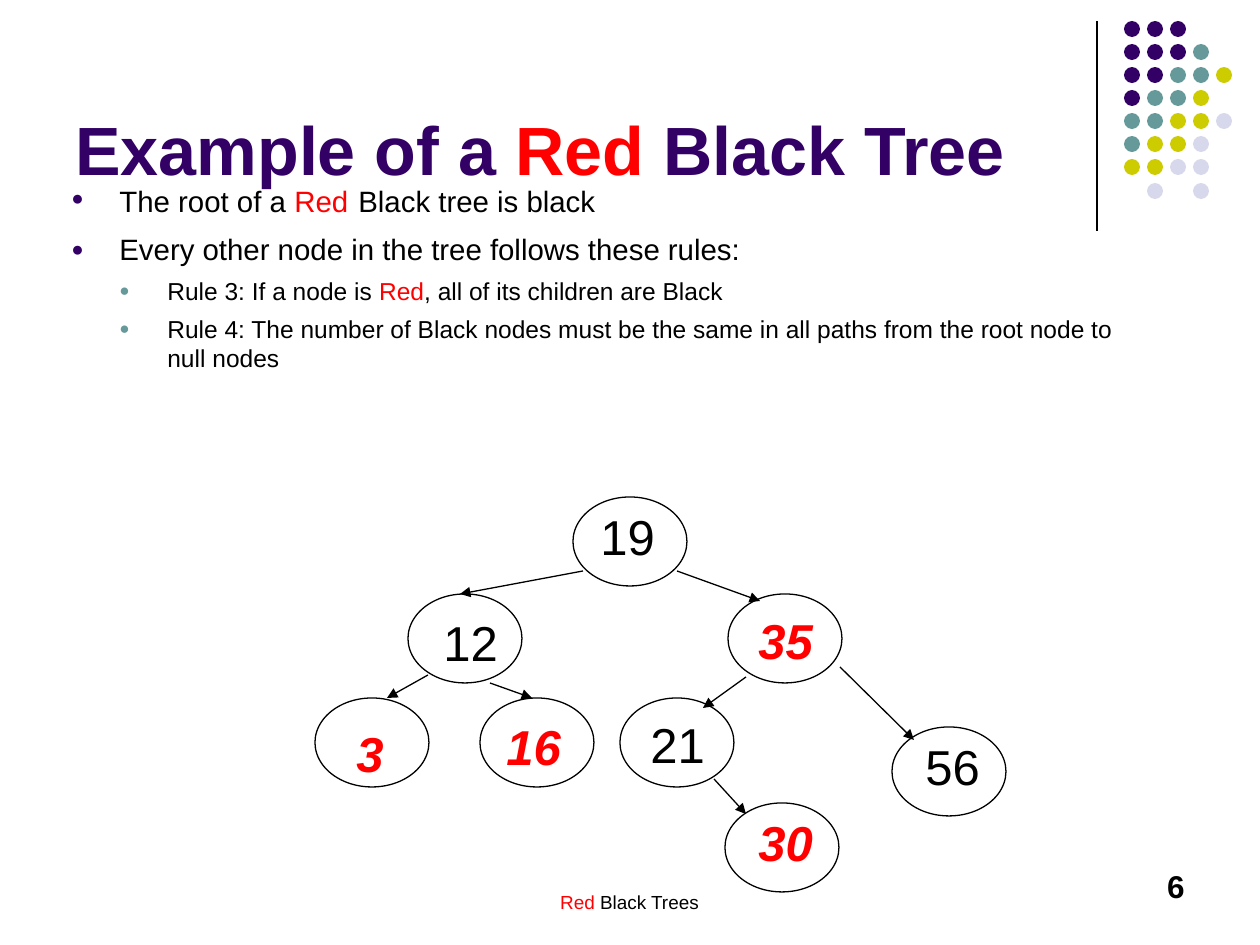
from dataclasses import dataclass
from typing import NamedTuple

from lxml.etree import SubElement
from pptx import Presentation
from pptx.dml.color import RGBColor as RGB
from pptx.enum.shapes import MSO_CONNECTOR as Link, MSO_SHAPE as Form
from pptx.enum.text import MSO_ANCHOR as Anchor, PP_ALIGN as Align
from pptx.oxml.ns import qn
from pptx.util import Pt

PX = 914400 / 126


@dataclass(frozen=True)
class Theme:
    font: str = "Arial"
    black: str = "000000"
    red: str = "FF0000"
    purple: str = "330066"
    teal: str = "669999"
    olive: str = "CCCC00"
    pale: str = "D8D8EC"
    title: float = 39
    point: float = 16.8
    gap: float = 21
    rule: float = 14
    key: float = 28
    foot: float = 10.8
    page: float = 18
    line: float = 0.75


T = Theme()


class Box(NamedTuple):
    x: int
    y: int
    w: int
    h: int


class Span(NamedTuple):
    text: str
    size: float
    color: str = T.black
    bold: bool = False
    italic: bool = False


class Node(NamedTuple):
    key: str
    x: int
    y: int
    dx: int  # label offset from the oval
    dy: int
    red: bool = False


class Edge(NamedTuple):
    x1: int
    y1: int
    x2: int
    y2: int


class Item(NamedTuple):
    level: int
    before: float
    spans: list[Span]


NODES = [
    Node("19", 573, 497, 15, 3),
    Node("12", 408, 594, 23, 12),
    Node("35", 728, 594, 18, 10, True),
    Node("3", 315, 698, 29, 19, True),
    Node("16", 480, 698, 14, 12, True),
    Node("56", 892, 727, 21, 3),
    Node("21", 620, 698, 18, 10),
    Node("30", 725, 803, 21, 3, True),
]
EDGES = [
    Edge(583, 571, 460, 594), Edge(677, 571, 760, 601),
    Edge(428, 675, 387, 698), Edge(490, 683, 532, 698),
    Edge(840, 667, 914, 740), Edge(746, 677, 703, 708),
    Edge(714, 779, 746, 814),
]
ITEMS = [
    Item(0, 0, [Span("The root of a ", T.point), Span("Red", T.point, T.red),
                Span(" ", T.gap), Span("Black tree is black", T.point)]),
    Item(0, 6.5, [Span("Every other node in the tree follows these rules:", T.point)]),
    Item(1, 5, [Span("Rule 3: If a node is ", T.rule), Span("Red", T.rule, T.red),
                Span(", all of its children are Black", T.rule)]),
    Item(1, 5, [Span("Rule 4: The number of Black nodes must be the same in all "
                     "paths from the root node to null nodes", T.rule)]),
]
DOTS = ["PPP", "PPPT", "PPTTO", "PTTO", "TTOOL", "TOOL", "OOLL", " L L"]
HUES = {"P": T.purple, "T": T.teal, "O": T.olive, "L": T.pale}


def emu(*px: int) -> list[int]:
    return [round(v * PX) for v in px]


def write(par, spans: list[Span]) -> None:
    for span in spans:
        run = par.add_run()
        run.text = span.text
        font = run.font
        font.name, font.size = T.font, Pt(span.size)
        font.bold, font.italic = span.bold, span.italic
        font.color.rgb = RGB.from_string(span.color)


def frame(slide, box: Box, anchor=Anchor.TOP):
    tf = slide.shapes.add_textbox(*emu(*box)).text_frame
    tf.word_wrap, tf.vertical_anchor = True, anchor
    return tf


def label(slide, box: Box, spans: list[Span], align=Align.LEFT,
          anchor=Anchor.TOP) -> None:
    par = frame(slide, box, anchor).paragraphs[0]
    par.alignment = align
    write(par, spans)


def bullet(par, level: int) -> None:
    """Hang the paragraph behind a coloured dot."""
    step = emu(48)[0]
    props = par._p.get_or_add_pPr()
    props.set("marL", str(step * (level + 1)))
    props.set("indent", str(-step))
    color = SubElement(props, qn("a:buClr"))
    SubElement(color, qn("a:srgbClr"), val=(T.purple, T.teal)[level])
    SubElement(props, qn("a:buSzPct"), val="70000")
    SubElement(props, qn("a:buFont"), typeface=T.font)
    SubElement(props, qn("a:buChar"), char="●")


def rules(slide) -> None:
    tf = frame(slide, Box(59, 176, 1103, 208))
    tf.margin_top = 0
    for i, item in enumerate(ITEMS):
        par = tf.add_paragraph() if i else tf.paragraphs[0]
        par.level, par.space_before = item.level, Pt(item.before)
        bullet(par, item.level)
        write(par, item.spans)


def oval(slide, box: Box, fill: str = "") -> None:
    """Draw a filled dot, or an outlined oval when no fill is given."""
    shape = slide.shapes.add_shape(Form.OVAL, *emu(*box))
    shape.shadow.inherit = False
    if fill:
        shape.fill.solid()
        shape.fill.fore_color.rgb = RGB.from_string(fill)
        shape.line.fill.background()
    else:
        shape.fill.background()
        shape.line.color.rgb = RGB.from_string(T.black)
        shape.line.width = Pt(T.line)


def stroke(slide, edge: Edge, arrow: bool = True) -> None:
    link = slide.shapes.add_connector(Link.STRAIGHT, *emu(*edge))
    link.line.color.rgb = RGB.from_string(T.black)
    link.line.width = Pt(T.line)
    if arrow:
        SubElement(link.line._get_or_add_ln(), qn("a:tailEnd"), type="triangle")
    SubElement(link._element.spPr, qn("a:effectLst"))


def draw(slide, node: Node) -> None:
    oval(slide, Box(node.x, node.y, 114, 89))
    box = Box(node.x + node.dx, node.y + node.dy, 26 + 28 * len(node.key), 72)
    color = T.red if node.red else T.black
    label(slide, box, [Span(node.key, T.key, color, node.red, node.red)])


def main() -> None:
    deck = Presentation()
    deck.slide_width, deck.slide_height = emu(1260, 945)
    slide = deck.slides.add_slide(deck.slide_layouts[6])

    stroke(slide, Edge(1097, 21, 1097, 231), arrow=False)
    for row, hues in enumerate(DOTS):
        for col, hue in enumerate(hues):
            if hue in HUES:
                box = Box(1124 + 162 * col // 7, 21 + 162 * row // 7, 16, 16)
                oval(slide, box, HUES[hue])

    label(slide, Box(430, 884, 399, 41),
          [Span("Red", T.foot, T.red), Span(" Black Trees", T.foot)], Align.CENTER)
    label(slide, Box(903, 861, 294, 63), [Span("6", T.page, bold=True)], Align.RIGHT)
    label(slide, Box(63, 16, 1040, 179),
          [Span("Example of a ", T.title, T.purple, True),
           Span("Red", T.title, T.red, True),
           Span(" Black Tree", T.title, T.purple, True)], anchor=Anchor.BOTTOM)
    rules(slide)

    for node in NODES:
        draw(slide, node)
    for edge in EDGES:
        stroke(slide, edge)
    deck.save("out.pptx")


if __name__ == "__main__":
    main()
